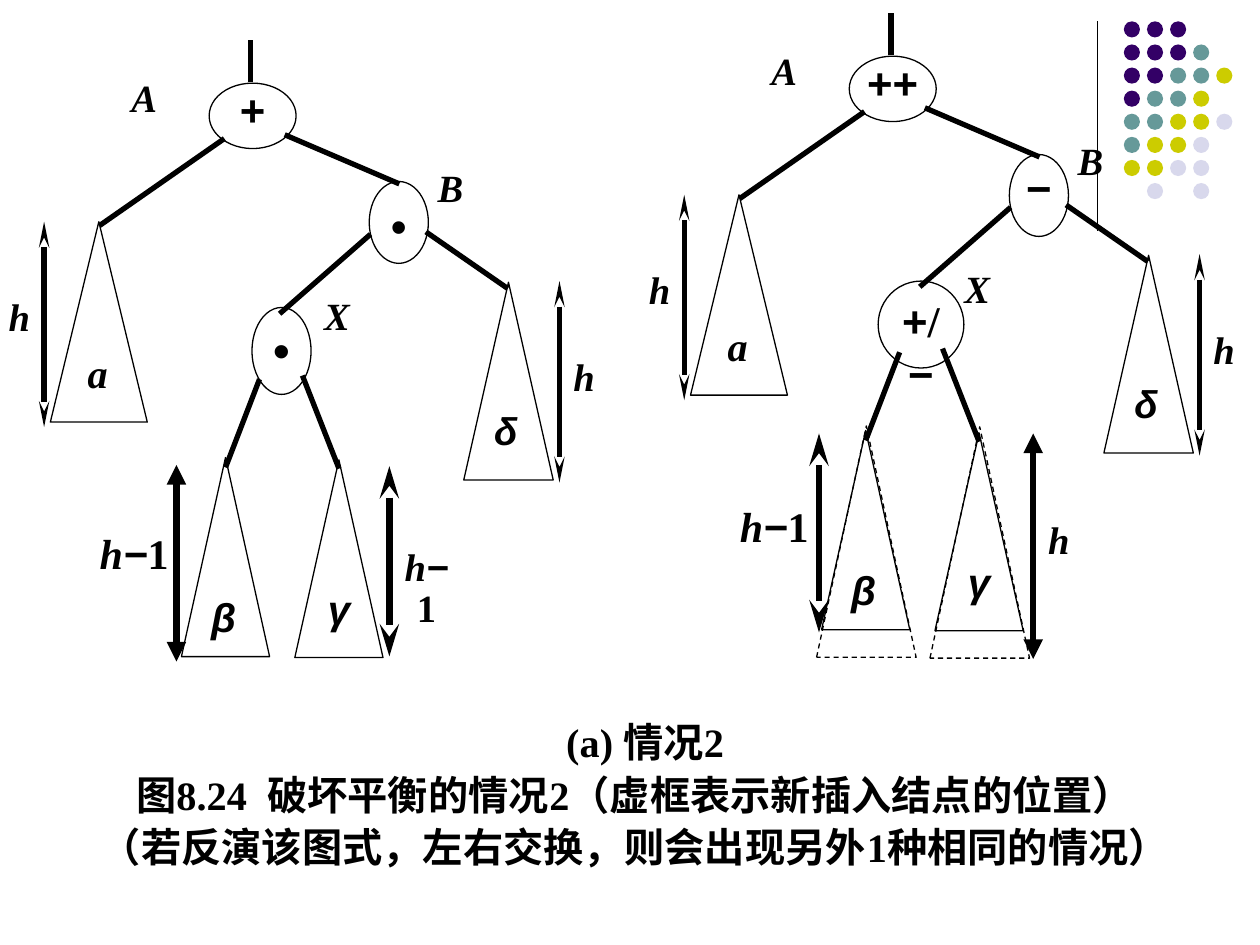
"""Builds the slide on case 2 of AVL tree rebalancing, before and after insertion."""
import itertools
import pptx
import pptx.dml.color
import pptx.enum.dml
import pptx.enum.shapes
import pptx.enum.text
import pptx.oxml
import pptx.oxml.ns
import pptx.util

Pt = pptx.util.Pt
SHAPE = pptx.enum.shapes.MSO_SHAPE
THEME = {
    "ink": "000000",
    "dots": {"P": "330066", "T": "669999", "Y": "CCCC00", "L": "D8D8EC"},
    "text_font": "Times New Roman", "symbol_font": "Arial", "symbols": "+−•βγδ",
    "label": 22, "subtree": 23, "height": 24, "node": 25, "bullet": 28, "caption": 23,
    "outline": 0.75, "branch": 3, "measure": 3.75,
}
INK = pptx.dml.color.RGBColor.from_string(THEME["ink"])

presentation = pptx.Presentation()
presentation.slide_width, presentation.slide_height = Pt(720), Pt(540)
slide = presentation.slides.add_slide(presentation.slide_layouts[6])


def add_line(start, end, width, head=None, head_width="med", head_length="med"):
    connector = slide.shapes.add_connector(
        pptx.enum.shapes.MSO_CONNECTOR.STRAIGHT, *[Pt(value) for value in (*start, *end)])
    connector.line.color.rgb = INK
    connector.line.width = Pt(width)
    properties = connector.line._get_or_add_ln()
    for tag in ("a:headEnd", "a:tailEnd") if head else ():
        arrow = pptx.oxml.ns.qn(tag)
        element = properties.makeelement(
            arrow, {"type": head, "w": head_width, "len": head_length})
        properties.append(element)
    effects = pptx.oxml.parse_xml(f'<a:effectLst {pptx.oxml.ns.nsdecls("a")}/>')
    connector._element.spPr.append(effects)


def add_item(kind, box, text="", size=22, spacing=0.9, bold=True, italic=False):
    position = [Pt(value) for value in box]
    if kind is None:
        shape = slide.shapes.add_textbox(*position)
    else:
        shape = slide.shapes.add_shape(kind, *position)
        shape.shadow.inherit = False
        shape.fill.background()
        shape.line.color.rgb = INK
        shape.line.width = Pt(THEME["outline"])
    if not text:
        return shape
    frame = shape.text_frame
    frame_format = {"word_wrap": True, "vertical_anchor": pptx.enum.text.MSO_ANCHOR.TOP,
                    "margin_left": 0, "margin_top": 0, "margin_right": 0, "margin_bottom": 0}
    for name, value in frame_format.items():
        setattr(frame, name, value)
    for index, content in enumerate(text.split("\n")):
        paragraph = frame.add_paragraph() if index else frame.paragraphs[0]
        paragraph.alignment = pptx.enum.text.PP_ALIGN.CENTER
        paragraph.line_spacing = spacing
        for (symbol, digit), letters in itertools.groupby(
                content, lambda letter: (letter in THEME["symbols"], italic and letter.isdigit())):
            run = paragraph.add_run()
            run.text = "".join(letters)
            font_format = {"name": THEME["symbol_font" if symbol else "text_font"],
                           "size": Pt(size), "bold": bold, "italic": italic and not digit}
            for name, value in font_format.items():
                setattr(run.font, name, value)
            run.font.color.rgb = INK
    return shape


add_line((627.1, 12.2), (627.1, 131.8), THEME["outline"])
dot_rows = ["PPP", "PPPT", "PPTTY", "PTTY", "TTYYL", "TYYL", "YYLL", " L L"]
for row, colours in enumerate(dot_rows):
    for column, key in enumerate(colours):
        if key != " ":
            dot = add_item(SHAPE.OVAL, (642.2 + 13.2 * column, 12.2 + 13.2 * row, 9.2, 9.2))
            dot.fill.solid()
            dot.fill.fore_color.rgb = pptx.dml.color.RGBColor.from_string(THEME["dots"][key])
            dot.line.fill.background()

branches = [
    ((143.3, 23), (143.3, 46.8)), ((162.7, 77), (228.2, 105.1)),
    ((128.2, 79.2), (56.9, 128.9)), ((211.7, 133.9), (159.8, 179.3)),
    ((243.4, 132.5), (290.2, 164.9)), ((148.3, 216.7), (128.9, 267.1)),
    ((172.8, 214.6), (193.7, 267.8)),
]
subtrees = [(28.8, 126.7, 55.4, 114.5), (103.7, 261.4, 50.4, 113.8),
            (168.5, 262.8, 50.4, 113), (265, 161.3, 51.1, 113)]
heights = [(25.2, 126.7, 244.1), (319.7, 160.6, 275.8)]
labels = [
    ("A", 72.7, 45.4, 19.4, "label"), ("B", 247.7, 96.5, 19.4, "label"),
    ("X", 182.9, 169.9, 19.4, "label"), ("h", 1.4, 170.6, 19.4, "label"),
    ("h", 324, 204.5, 19.4, "label"), ("a", 46.1, 202.3, 19.4, "subtree"),
    ("β", 115.9, 341.3, 23.8, "subtree"), ("γ", 183.6, 337, 20.2, "subtree"),
    ("δ", 279.4, 235.4, 19.4, "label"), ("h−1", 55.4, 304.6, 42.5, "height"),
]
trees = [(0, 0, "+", "•", Pt(33)), (365.8, -15.4, "++", "−", 0.9)]
for shift_x, shift_y, root_sign, child_sign, child_spacing in trees:
    for (x1, y1), (x2, y2) in branches:
        add_line((x1 + shift_x, y1 + shift_y), (x2 + shift_x, y2 + shift_y), THEME["branch"])
    for left, top, width, height in subtrees:
        add_item(SHAPE.ISOSCELES_TRIANGLE, (left + shift_x, top + shift_y, width, height))
    for x, top, bottom in heights:
        add_line((x + shift_x, top + shift_y), (x + shift_x, bottom + shift_y),
                 THEME["branch"], "stealth", "sm", "lg")
    add_item(SHAPE.OVAL, (119.5 + shift_x, 47.5 + shift_y, 49.7, 37.4),
             root_sign, THEME["node"], 0.8)
    add_item(SHAPE.OVAL, (211 + shift_x, 103.7 + shift_y, 33.8, 46.8),
             child_sign, THEME["node"], child_spacing)
    for text, left, top, width, size in labels:
        add_item(None, (left + shift_x, top + shift_y, width, 25.2),
                 text, THEME[size], italic=True)

add_item(SHAPE.OVAL, (144, 175.7, 33.8, 49.7), "•", THEME["bullet"], Pt(33), bold=False)
add_item(SHAPE.OVAL, (501.8, 160.6, 49, 49.7), "+/−", THEME["node"], Pt(30))
add_item(None, (226.1, 313.2, 35.3, 25.2), "h−1", THEME["label"], italic=True)
add_item(None, (595.4, 298.1, 19.4, 25.2), "h", THEME["label"], italic=True)

measures = [(100.8, 265.7, 378, "triangle", "med"), (222.5, 266.4, 375.1, "stealth", "lg"),
            (468, 247.7, 361.4, "stealth", "lg"), (590.4, 247.7, 376.6, "triangle", "med")]
for x, top, bottom, head, head_length in measures:
    add_line((x, top), (x, bottom), THEME["measure"], head, "med", head_length)

for left, top in [(466.6, 243.4), (531.4, 243.9)]:
    inserted = add_item(SHAPE.ISOSCELES_TRIANGLE, (left, top, 56.9, 132.2))
    inserted.line.dash_style = pptx.enum.dml.MSO_LINE.DASH

caption = add_item(
    None, (39.6, 407.5, 646.6, 90.7),
    "(a) 情况2\n图8.24  破坏平衡的情况2（虚框表示新插入结点的位置）\n"
    "（若反演该图式，左右交换，则会出现另外1种相同的情况）",
    THEME["caption"], Pt(30))
caption.text_frame.paragraphs[0]._p.get_or_add_pPr().set("marL", str(Pt(11.5)))

presentation.save("out.pptx")
